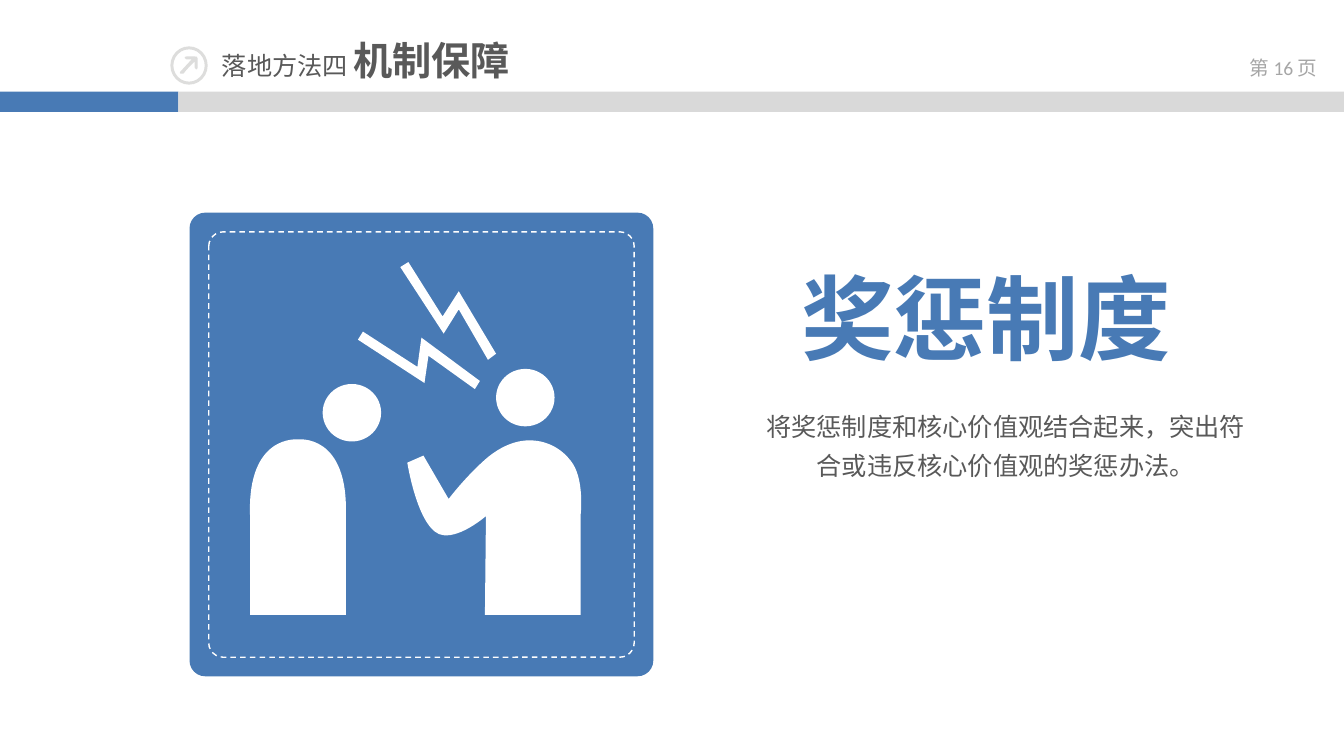
from pptx import Presentation
from pptx.util import Inches, Pt
from pptx.dml.color import RGBColor
from pptx.enum.dml import MSO_LINE
from pptx.enum.shapes import MSO_SHAPE
from pptx.enum.text import MSO_ANCHOR, PP_ALIGN
from pptx.oxml.ns import qn
from lxml import etree

BLUE, WHITE, TEXT = "487AB5", "FFFFFF", "595959"
BAR, ICON, PAGE = "D9D9D9", "DDDDDC", "A6A6A6"
LATIN, HAN = "Calibri", "Noto Sans CJK SC"

# Runs: text, size, bold, colour, font
TITLE = [("落地方法四 ", 18, False, TEXT, LATIN),
         ("机制保障", 28, True, TEXT, LATIN)]
NUMBER = [("第 ", 14, False, PAGE, HAN), ("16 ", 14, False, PAGE, LATIN),
          ("页", 14, False, PAGE, HAN)]
HEAD = [("奖惩制度", 66, True, BLUE, LATIN)]
BODY = [("将奖惩制度和核心价值观结合起来，突出符合或违反核心价值观的奖惩办法。",
         18, False, TEXT, LATIN)]

# Outlines: a pair is a corner, six numbers are a curve
ARROW = [(1.82, .73), (1.85, .69, 1.89, .65, 1.93, .61), (1.93, .67),
         (1.93, .69, 1.96, .7, 1.96, .67), (1.96, .58),
         (1.96, .56, 1.95, .56, 1.93, .56), (1.85, .56),
         (1.82, .56, 1.83, .59, 1.85, .59), (1.9, .59), (1.79, .71),
         (1.77, .73, 1.8, .74, 1.82, .73)]
LOW_BOLT = [(3.55, 3.37), (4.21, 3.8), (4.25, 3.53), (4.71, 3.86),
            (4.76, 3.78), (4.18, 3.35), (4.14, 3.64), (3.6, 3.29)]
HIGH_BOLT = [(3.97, 2.65), (4.4, 3.31), (4.55, 3.07), (4.84, 3.57),
             (4.92, 3.51), (4.55, 2.89), (4.39, 3.14), (4.05, 2.6)]
WORKER = [(2.48, 6.1), (2.48, 5.12), (2.45, 4.3, 2.96, 4.36, 2.96, 4.36),
          (2.96, 4.36, 3.46, 4.3, 3.43, 5.12), (3.43, 6.1)]
BOSS = [(5.76, 6.1), (5.76, 5.1), (5.76, 5.1, 5.8, 4.74, 5.66, 4.57),
        (5.49, 4.35, 5.25, 4.37, 5.25, 4.37),
        (5.25, 4.37, 5.04, 4.35, 4.8, 4.57),
        (4.6, 4.75, 4.45, 4.95, 4.45, 4.95), (4.2, 4.52), (4.04, 4.59),
        (4.04, 4.59, 4.15, 5.29, 4.4, 5.31),
        (4.58, 5.33, 4.82, 5.12, 4.82, 5.12), (4.81, 6.1)]
HEADS = [(3.2, 3.81), (4.92, 3.66)]


def color(code):
    """Turn a hex string into a colour."""
    return RGBColor.from_string(code)


def paint(shape, fill=None, line=None):
    """Set fill and dashed line, and drop the shadow."""
    shape.shadow.inherit = False
    if fill:
        shape.fill.solid()
        shape.fill.fore_color.rgb = color(fill)
    else:
        shape.fill.background()
    if line:
        shape.line.color.rgb = color(line)
        shape.line.width = Pt(1)
        shape.line.dash_style = MSO_LINE.DASH
    else:
        shape.line.fill.background()


def preset(kind, box, fill=None, line=None, adjust=None):
    """Add a preset shape."""
    shape = slide.shapes.add_shape(kind, *map(Inches, box))
    if adjust is not None:
        shape.adjustments[0] = adjust
    paint(shape, fill, line)


def bend(shape, nodes):
    """Merge each three segments that belong to a curve into one."""
    legs = list(shape._element.iter(qn("a:lnTo")))
    for node in nodes[1:]:
        leg = legs.pop(0)
        if len(node) == 6:
            leg.tag = qn("a:cubicBezTo")
            for _ in range(2):
                extra = legs.pop(0)
                leg.append(extra[0])
                extra.getparent().remove(extra)


def outline(nodes, fill):
    """Add a closed free outline of corners and curves."""
    first, *rest = [(Inches(node[i]), Inches(node[i + 1]))
                    for node in nodes for i in range(0, len(node), 2)]
    pen = slide.shapes.build_freeform(*first)
    pen.add_line_segments(rest, close=True)
    shape = pen.convert_to_shape()
    bend(shape, nodes)
    paint(shape, fill)


def write(shape, box, runs, align=PP_ALIGN.CENTER, wrap=True, space=1):
    """Place a text shape and fill it with formatted runs."""
    shape.left, shape.top, shape.width, shape.height = map(Inches, box)
    frame = shape.text_frame
    frame.word_wrap = wrap
    frame.vertical_anchor = MSO_ANCHOR.TOP
    para = frame.paragraphs[0]
    para.alignment = align
    para.line_spacing = space
    for text, size, bold, tint, face in runs:
        run = para.add_run()
        run.text = text
        font = run.font
        font.size, font.bold, font.name = Pt(size), bold, face
        font.color.rgb = color(tint)
        east = etree.SubElement(run._r.get_or_add_rPr(), qn("a:ea"))
        east.set("typeface", HAN)


def label(box, runs, **style):
    """Add a text box."""
    write(slide.shapes.add_textbox(0, 0, 0, 0), box, runs, **style)


deck = Presentation()
deck.slide_width, deck.slide_height = Inches(13.33), Inches(7.5)
slide = deck.slides.add_slide(deck.slide_layouts[5])

# Header
preset(MSO_SHAPE.RECTANGLE, (0, .91, 1.77, .2), BLUE)
preset(MSO_SHAPE.RECTANGLE, (1.77, .91, 11.56, .2), BAR)
label((12.13, .51, 1.2, .4), NUMBER)
preset(MSO_SHAPE.DONUT, (1.69, .46, .37, .38), ICON, adjust=.08)
outline(ARROW, ICON)
write(slide.shapes.title, (2.1, .31, 3.09, .57), TITLE,
      align=PP_ALIGN.LEFT, wrap=False)

# Card
for inset, fill, line in [(0, BLUE, None), (.19, None, WHITE)]:
    side = 4.6 - 2 * inset
    preset(MSO_SHAPE.ROUNDED_RECTANGLE,
           (1.88 + inset, 2.11 + inset, side, side), fill, line, .034)
for shape in (LOW_BOLT, HIGH_BOLT, WORKER, BOSS):
    outline(shape, WHITE)
for x, y in HEADS:
    preset(MSO_SHAPE.OVAL, (x, y, .58, .57), WHITE)

# Message
label((7.83, 2.54, 3.9, 1.21), HEAD, wrap=False)
label((7.43, 3.94, 5.09, .86), BODY, space=1.3)

deck.save("out.pptx")
